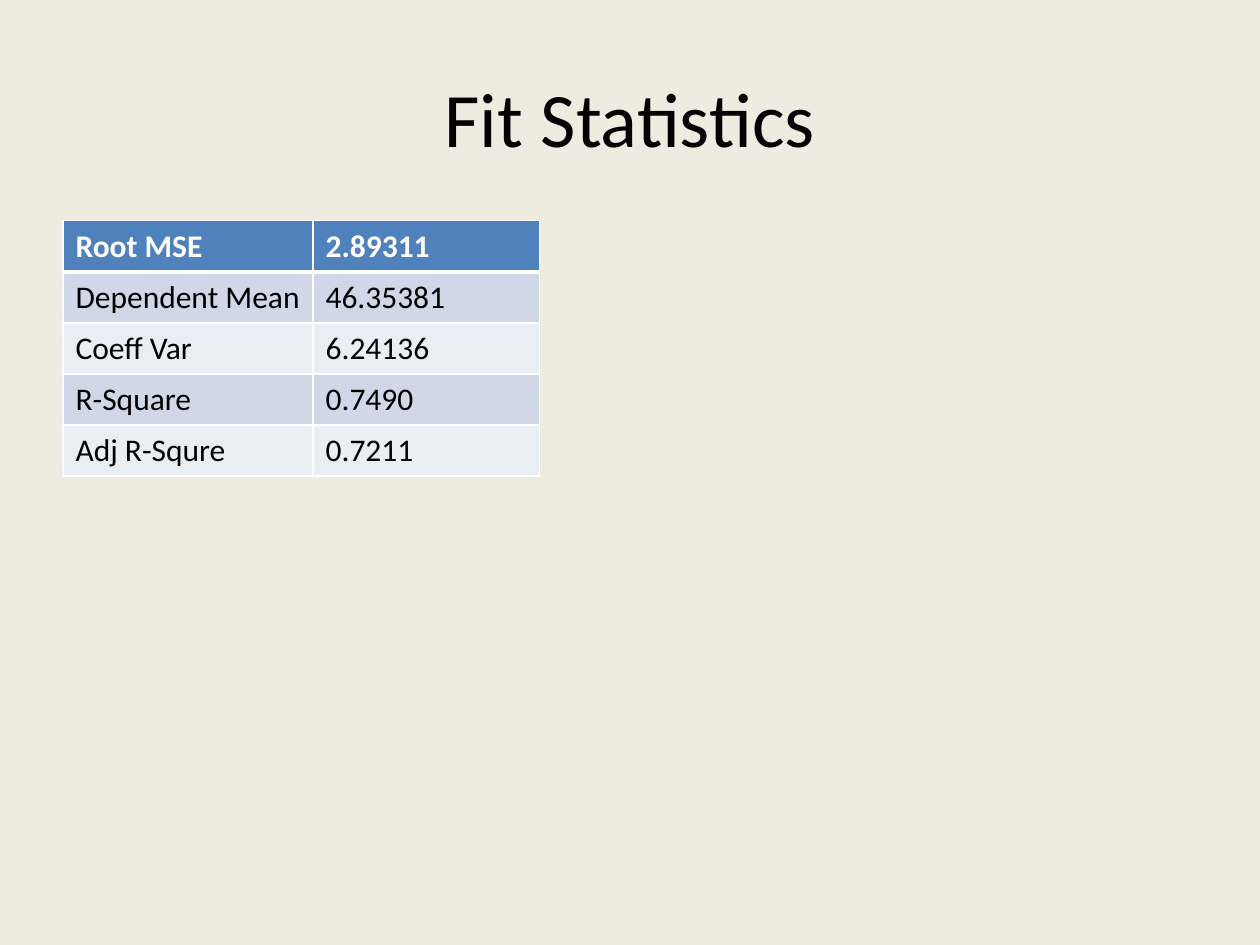
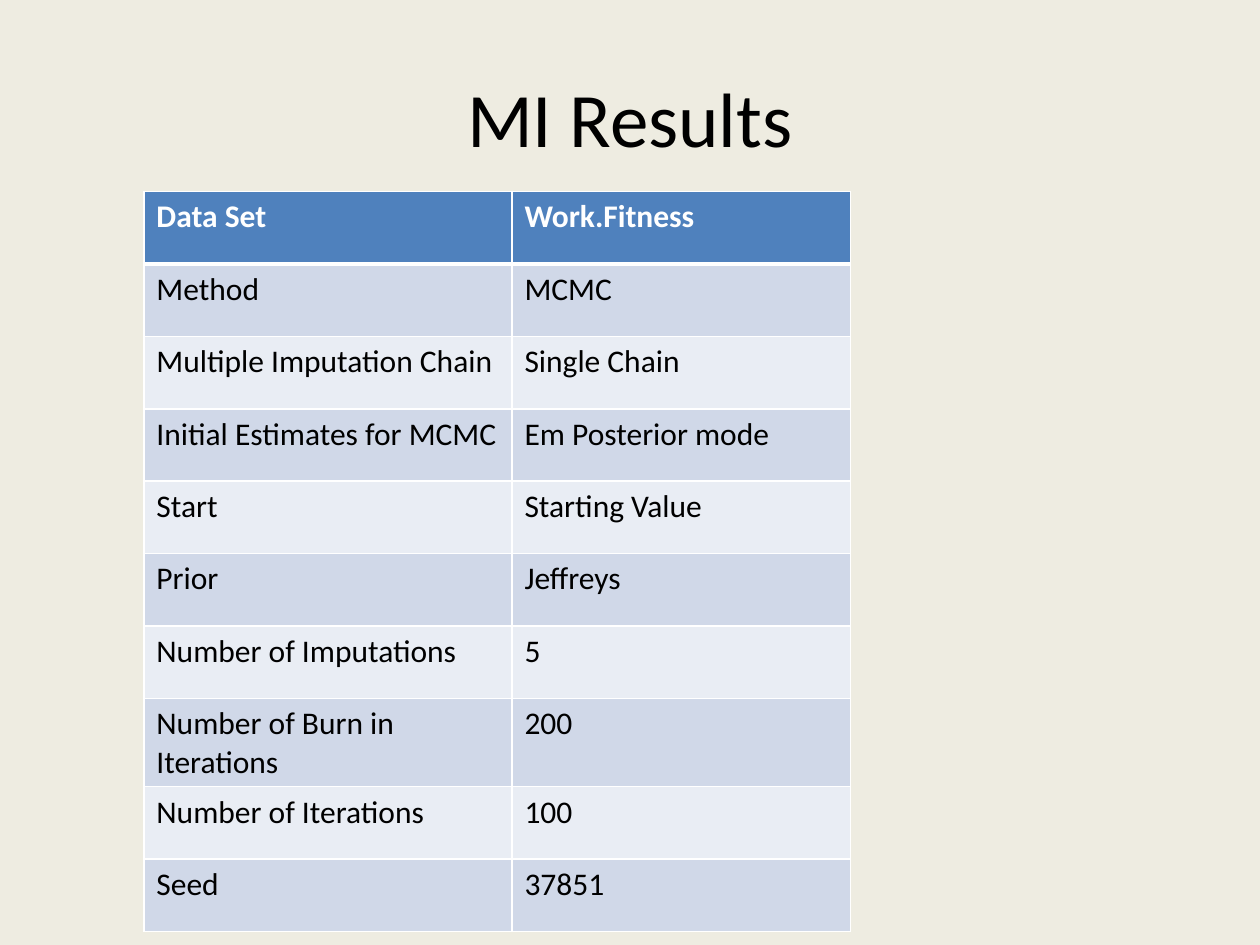
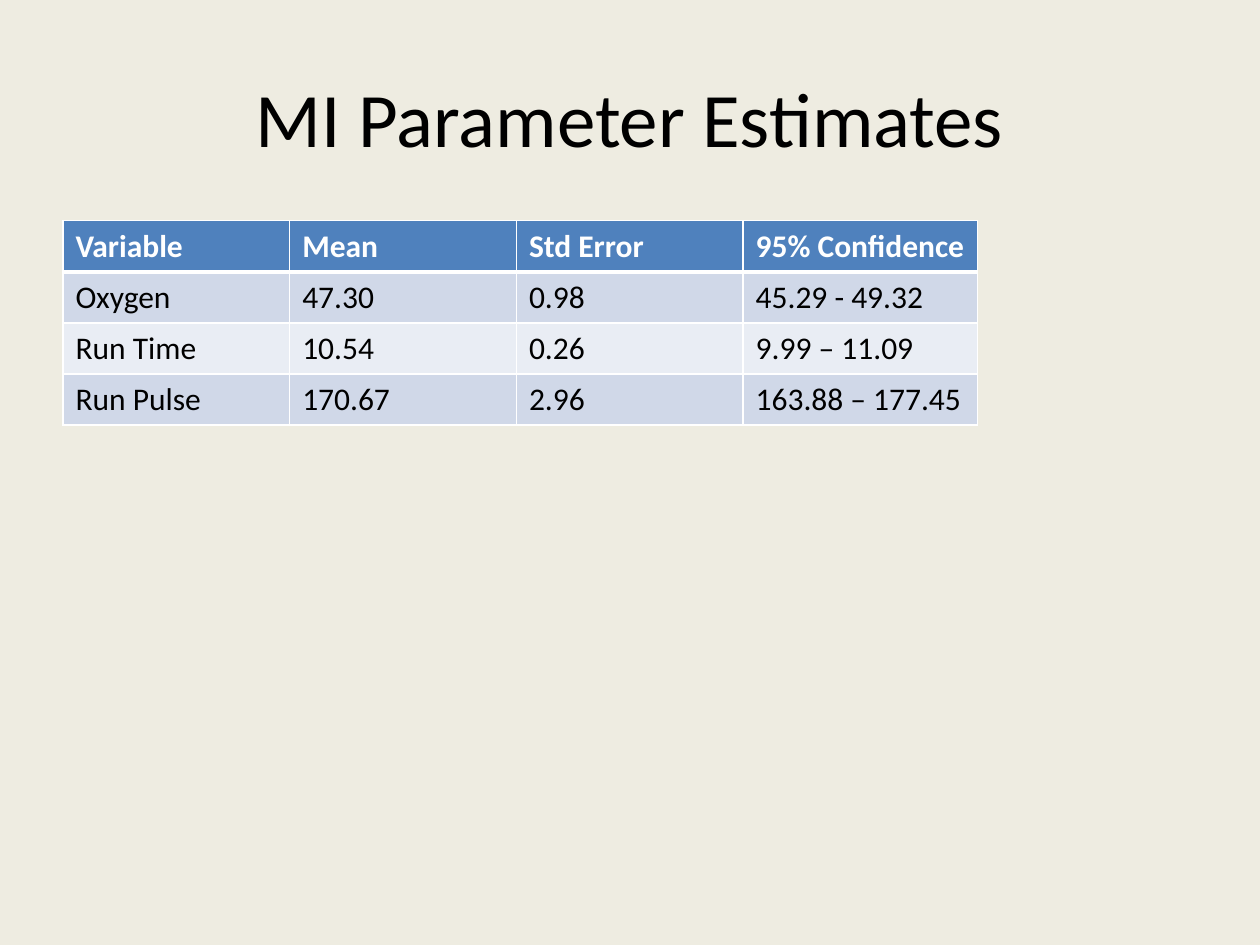
from lxml import etree
from pptx import Presentation
from pptx.dml.color import RGBColor
from pptx.enum.text import MSO_ANCHOR, PP_ALIGN
from pptx.oxml.ns import qn
from pptx.util import Cm, Pt

CENTER = PP_ALIGN.CENTER
MIDDLE = MSO_ANCHOR.MIDDLE

PAGES = [
    {
        "title": "Fit Statistics",
        "left": 1.27, "top": 4.45, "row_height": 1.03,
        "widths": [5.04, 4.57],
        "rows": [
            ("Root MSE", "2.89311"),
            ("Dependent Mean", "46.35381"),
            ("Coeff Var", "6.24136"),
            ("R-Square", "0.7490"),
            ("Adj R-Squre", "0.7211"),
        ],
    },
    {
        "title": "MI Results",
        "left": 2.9, "top": 3.86, "row_height": 1.46,
        "widths": [7.42, 6.83],
        "rows": [
            ("Data Set", "Work.Fitness"),
            ("Method", "MCMC"),
            ("Multiple Imputation Chain", "Single Chain"),
            ("Initial Estimates for MCMC", "Em Posterior mode"),
            ("Start", "Starting Value"),
            ("Prior", "Jeffreys"),
            ("Number of Imputations", "5"),
            ("Number of Burn in Iterations", "200"),
            ("Number of Iterations", "100"),
            ("Seed", "37851"),
        ],
    },
    {
        "title": "MI Parameter Estimates",
        "left": 1.27, "top": 4.45, "row_height": 1.03,
        "widths": [4.57, 4.57, 4.57, 4.73],
        "rows": [
            ("Variable", "Mean", "Std Error", "95% Confidence"),
            ("Oxygen", "47.30", "0.98", "45.29 - 49.32"),
            ("Run Time", "10.54", "0.26", "9.99 – 11.09"),
            ("Run Pulse", "170.67", "2.96", "163.88 – 177.45"),
        ],
    },
]

BACKGROUND = "EEECE1"
BORDER = "FFFFFF"
HEADER_FILL = "4F81BD"
BAND_FILLS = ["D0D8E8", "E9EDF4"]
TITLE_BOX = (1.27, 0.76, 22.86, 3.18)
TITLE_FONT = {"name": "Calibri", "size": Pt(44), "bold": False, "color": "000000"}
HEADER_FONT = {"name": "Calibri", "size": Pt(18), "bold": True, "color": "FFFFFF"}
BODY_FONT = HEADER_FONT | {"bold": False, "color": "000000"}
THIN, THICK = Pt(1), Pt(3)


def paint(target, color):
    """Give a fill a solid colour."""
    target.solid()
    target.fore_color.rgb = RGBColor.from_string(color)


def write(frame, text, font):
    """Put one formatted line into a text frame and return its paragraph."""
    para = frame.paragraphs[0]
    span = para.add_run()
    span.text = text
    for name, value in font.items():
        if name == "color":
            paint(span.font.fill, value)
        else:
            setattr(span.font, name, value)
    return para


def add_title(page, text):
    """Add the centred title."""
    frame = page.shapes.add_textbox(*map(Cm, TITLE_BOX)).text_frame
    frame.word_wrap = True
    frame.vertical_anchor = MIDDLE
    write(frame, text, TITLE_FONT).alignment = CENTER


def add_borders(cell, top, bottom):
    """Draw the four cell borders; sides are thin."""
    properties = cell._tc.get_or_add_tcPr()
    for side, width in (("L", THIN), ("R", THIN), ("T", top), ("B", bottom)):
        line = etree.SubElement(properties, qn(f"a:ln{side}"), w=str(width))
        fill = etree.SubElement(line, qn("a:solidFill"))
        etree.SubElement(fill, qn("a:srgbClr"), val=BORDER)


def add_banded_table(page, content):
    """Add a table with a header row and alternating bands."""
    rows, widths = content["rows"], content["widths"]
    height = content["row_height"]
    table = page.shapes.add_table(
        len(rows), len(widths), Cm(content["left"]), Cm(content["top"]),
        Cm(sum(widths)), Cm(height * len(rows))).table
    for column, width in zip(table.columns, widths):
        column.width = Cm(width)
    for number, texts in enumerate(rows):
        table.rows[number].height = Cm(height)
        header = number == 0
        for place, text in enumerate(texts):
            cell = table.cell(number, place)
            write(cell.text_frame, text, HEADER_FONT if header else BODY_FONT)
            add_borders(cell, THICK if number == 1 else THIN, THICK if header else THIN)
            paint(cell.fill, HEADER_FILL if header else BAND_FILLS[(number - 1) % 2])


def build():
    """Build and save the deck."""
    deck = Presentation()
    deck.slide_width, deck.slide_height = Cm(25.4), Cm(19.05)
    paint(deck.slide_master.background.fill, BACKGROUND)
    blank = deck.slide_layouts[6]
    for content in PAGES:
        page = deck.slides.add_slide(blank)
        add_title(page, content["title"])
        add_banded_table(page, content)
    deck.save("out.pptx")


build()
